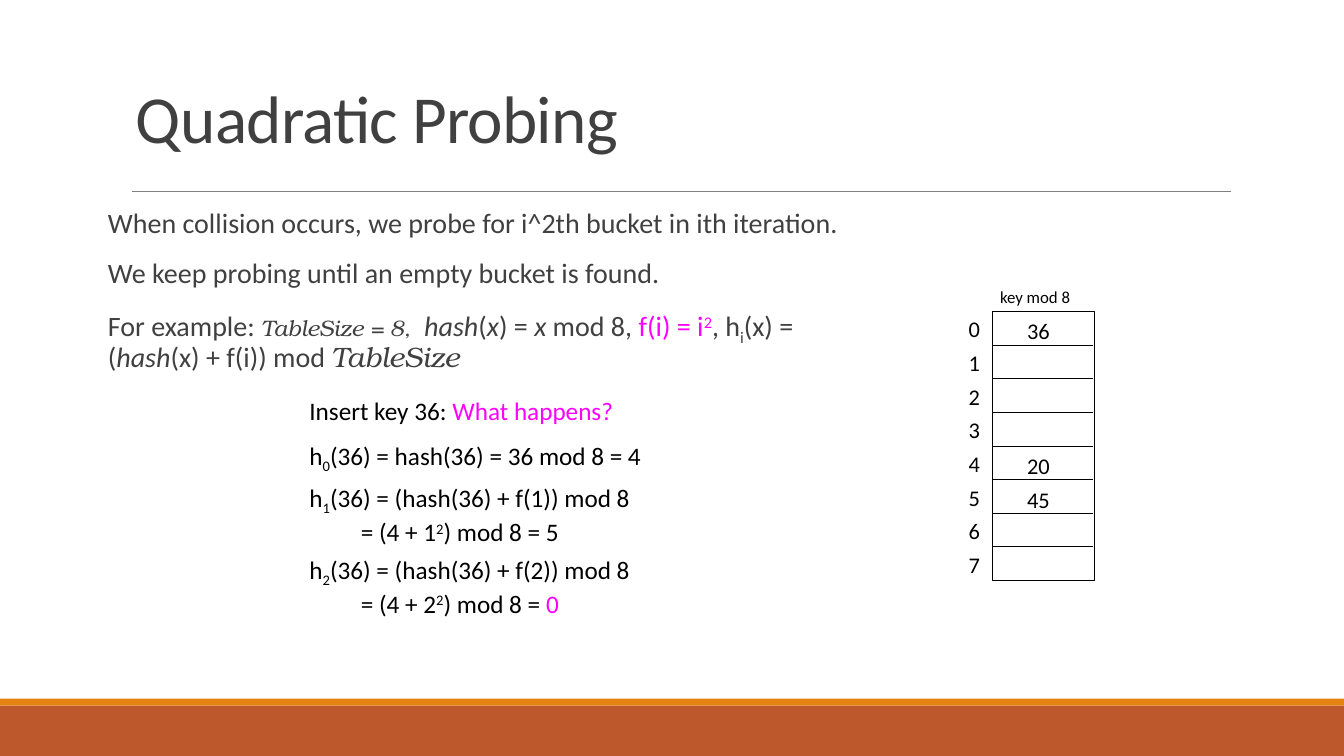
from lxml.etree import SubElement
from pptx import Presentation
from pptx.dml.color import RGBColor
from pptx.enum.shapes import MSO_CONNECTOR, MSO_SHAPE
from pptx.enum.text import MSO_ANCHOR
from pptx.oxml.ns import qn
from pptx.util import Inches, Pt

WIDE, HIGH = Inches(13.33), Inches(7.5)
INK, GRAY, PINK = "000000", "404040", "FF00FF"
SUB, SUP = -25, 30
ITAL = {"ital": True}
HOT = {"color": PINK}
LOW = {"base": SUB}
TOP = {"base": SUP}
SERIF = {"ital": True, "face": "TeX Gyre Bonum"}


def color(code):
    """Turn a hex string into a colour."""
    return RGBColor.from_string(code)


def place(x, y, w, h):
    """Turn percent shares of the slide into lengths."""
    return [int(part * side / 100) for part, side in zip((x, y, w, h), (WIDE, HIGH) * 2)]


def style(run, size, color_code, face="Calibri", ital=False, base=0, track=0):
    """Format one run."""
    font = run.font
    font.size, font.name, font.italic = Pt(size), face, ital
    font.color.rgb = color(color_code)
    props = run._r.get_or_add_rPr()
    if base:
        props.set("baseline", str(base * 1000))
    if track:
        props.set("spc", str(track))


def write(slide, box, lines, size=16, ink=INK, wrap=False, inset=0.1, anchor=MSO_ANCHOR.TOP,
          lead=None, before=0, after=0, hang=0, track=0):
    """Write lines of (text, format) runs in a text box."""
    frame = slide.shapes.add_textbox(*place(*box)).text_frame
    frame.word_wrap, frame.vertical_anchor = wrap, anchor
    frame.margin_left = frame.margin_right = Inches(inset)
    for row, runs in enumerate(lines):
        para = frame.paragraphs[0] if row == 0 else frame.add_paragraph()
        para.space_before, para.space_after = Pt(before if row else 0), Pt(after)
        if lead:
            para.line_spacing = lead
        if row and hang:
            para._p.get_or_add_pPr().set("marL", str(Inches(hang)))
        for text, form in runs:
            run = para.add_run()
            run.text = text
            form = {"size": size, "color": ink, "track": track, **form}
            style(run, color_code=form.pop("color"), **form)


def block(slide, box, fill=None, edge=None):
    """Draw a plain rectangle."""
    rect = slide.shapes.add_shape(MSO_SHAPE.RECTANGLE, *place(*box))
    rect.shadow.inherit = False
    if fill:
        rect.fill.solid()
        rect.fill.fore_color.rgb = color(fill)
    else:
        rect.fill.background()
    if edge:
        rect.line.color.rgb, rect.line.width = color(edge), Pt(0.75)
    else:
        rect.line.fill.background()


def rule(slide, x, y, w, ink=INK, width=0.75):
    """Draw a level line."""
    left, top, span, _ = place(x, y, w, 0)
    line = slide.shapes.add_connector(MSO_CONNECTOR.STRAIGHT, left, top, left + span, top)
    line.line.color.rgb, line.line.width = color(ink), Pt(width)
    SubElement(line._element.spPr, qn("a:effectLst"))


def frame_page(slide):
    """Draw the bars at the foot and the rule below the title."""
    block(slide, (0, 93.33, 100, 6.67), "BD582C")
    block(slide, (0, 92.4, 100, 0.93), "E48312")
    rule(slide, 9.83, 25.33, 81.77, "808080", 0.5)


def intro(slide, box):
    """Write the rule of quadratic probing."""
    lines = [
        [("When collision occurs, we probe for i^2th bucket in ith iteration.", {})],
        [("We keep probing until an empty bucket is found.", {})],
        [("For example: ", {}), ("TableSize = 8,  ", {**SERIF, "size": 16}),
         ("hash", ITAL), ("(", {}), ("x", ITAL), (") = ", {}), ("x", ITAL), (" mod 8, ", {}),
         ("f(i) = i", HOT), ("2", {**HOT, **TOP}), (", h", {}), ("i", LOW), ("(x) = (", {}),
         ("hash", ITAL), ("(x) + f(i)) mod ", {}), ("TableSize", SERIF)],
    ]
    write(slide, box, lines, size=20, ink=GRAY, wrap=True, inset=0, lead=0.9, before=12, after=2)


def steps(slide, box):
    """Write the probes for key 36 from the top of the box down."""
    x, y, w, h = box

    def probe(turn, end):
        """Give the two lines of one probe."""
        return [[("h", {}), (turn, LOW), (f"(36) = (hash(36) + f({turn})) mod 8", {})],
                [(f"= (4 + {turn}", {}), ("2", TOP), (") mod 8 = ", {}), end]]

    parts = [
        (0, [[("Insert key 36: ", {}), ("What happens?", HOT)]]),
        (0.24, [[("h", {}), ("0", LOW), ("(36) = hash(36) = 36 mod 8 = 4", {})]]),
        (0.46, probe("1", ("5", {}))),
        (0.84, probe("2", ("0", HOT))),
    ]
    for drop, lines in parts:
        write(slide, (x, y + drop * h, w, 5.33 * len(lines)), lines, size=18, hang=0.51)


def buckets(slide, box, keys):
    """Draw the hash table with its indexes and keys."""
    x, y, w, h = box
    step = h / len(keys)
    block(slide, box, edge=INK)
    write(slide, (x - 0.15, y - 3.87, 6.83, 4), [[("key mod 8", {})]], size=12)
    for row, key in enumerate(keys):
        top = y + row * step
        if row:
            rule(slide, x, top, w * 0.98)
        write(slide, (x - 2.48, top - 0.13, 2.4, 4.93), [[(str(row), {})]])
        if key:
            write(slide, (x + 1.87, top + 0.13, 3.25, 4.93), [[(key, {})]])


def main():
    """Build and save the slide."""
    deck = Presentation()
    deck.slide_width, deck.slide_height = WIDE, HIGH
    slide = deck.slides.add_slide(deck.slide_layouts[6])
    frame_page(slide)
    write(slide, (9.38, 13.2, 65.64, 8.27), [[("Quadratic Probing", {})]], size=48, ink=GRAY,
          wrap=True, anchor=MSO_ANCHOR.BOTTOM, lead=0.85, track=-50)
    intro(slide, (8.03, 27.07, 56.11, 24))
    steps(slide, (22.28, 51.6, 27.5, 25))
    buckets(slide, (73.82, 41.2, 7.65, 35.6), ["36", "", "", "", "20", "45", "", ""])
    deck.save("out.pptx")


if __name__ == "__main__":
    main()
